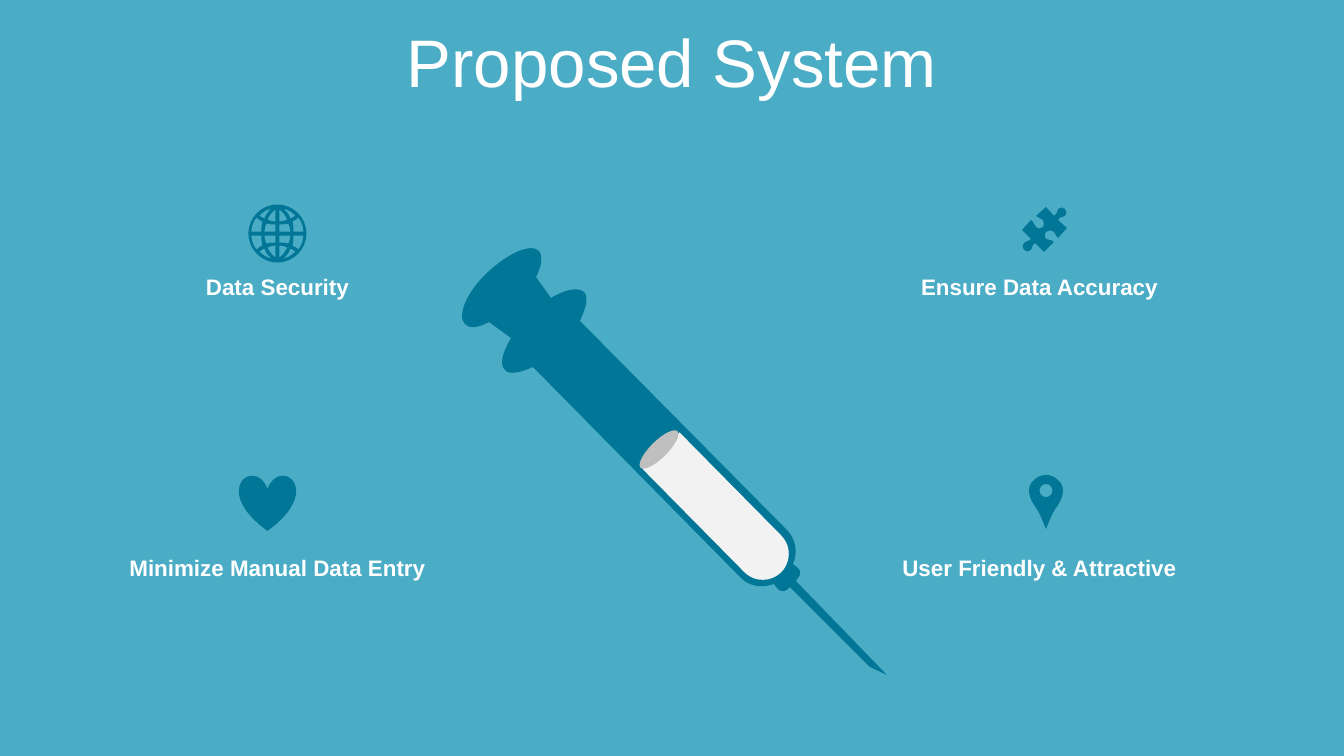
from math import cos, radians, sin

from pptx import Presentation
from pptx.dml.color import RGBColor
from pptx.enum.shapes import MSO_SHAPE
from pptx.enum.text import MSO_ANCHOR, PP_ALIGN
from pptx.oxml.ns import qn
from pptx.util import Pt

PX = 914400 / 134.4
FONT = "Arial"
SKY = RGBColor(0x4B, 0xAC, 0xC6)
TEAL = RGBColor(0x02, 0x76, 0x96)
WHITE = RGBColor(0xFF, 0xFF, 0xFF)
PALE = RGBColor(0xF2, 0xF2, 0xF2)
GREY = RGBColor(0xBF, 0xBF, 0xBF)
CENTER, MIDDLE = PP_ALIGN.CENTER, MSO_ANCHOR.MIDDLE
HEART, OVAL = MSO_SHAPE.HEART, MSO_SHAPE.OVAL
ROUND_TOP = MSO_SHAPE.ROUND_2_SAME_RECTANGLE
TITLE_ONLY = 5


def emu(px):
    return round(px * PX)


def write(shape, text, size=12, bold=False, color=WHITE, anchor=None):
    tf = shape.text_frame
    tf.word_wrap = True
    if anchor is not None:
        tf.vertical_anchor = anchor
    p = tf.paragraphs[0]
    p.alignment = CENTER
    r = p.add_run()
    r.text = text
    r.font.name, r.font.size, r.font.bold = FONT, Pt(size), bold
    r.font.color.rgb = color


def rotate(x, y, degrees):
    a = radians(degrees)
    return x * cos(a) - y * sin(a), x * sin(a) + y * cos(a)


def pairs(part):
    return list(zip(part[::2], part[1::2]))


def place(contour, cx, cy, sx=1, sy=1):
    """Move a contour from its own centre to (cx, cy), mirrored by sx and sy."""
    return [tuple(v for x, y in pairs(part) for v in (cx + sx * x, cy + sy * y))
            for part in contour]


def circle(r):
    k = 0.55 * r
    return [(r, 0), (r, k, k, r, 0, r), (-k, r, -r, k, -r, 0),
            (-r, -k, -k, -r, 0, -r), (k, -r, r, -k, r, 0)]


def bend(shape, contours):
    """Join the three segments of each six-number part into one cubic curve."""
    lines = iter(list(shape.element.iter(qn("a:lnTo"))))
    for contour in contours:
        for part in contour[1:]:
            line = next(lines)
            if len(part) == 6:
                line.tag = qn("a:cubicBezTo")
                for extra in (next(lines), next(lines)):
                    line.append(extra[0])
                    extra.getparent().remove(extra)


class Deck:
    def __init__(self, prs):
        self.slide = prs.slides.add_slide(prs.slide_layouts[TITLE_ONLY])
        fill = self.slide.background.fill
        fill.solid()
        fill.fore_color.rgb = SKY

    def paint(self, s, color):
        s.shadow.inherit = False
        s.fill.solid()
        s.fill.fore_color.rgb = color
        s.line.fill.background()

    def title(self, text, x, y, w, h):
        s = self.slide.shapes.title
        s.left, s.top, s.width, s.height = map(emu, (x, y, w, h))
        write(s, text, size=36, anchor=MIDDLE)

    def label(self, text, x, y, w, h):
        s = self.slide.shapes.add_textbox(*map(emu, (x, y, w, h)))
        write(s, text, bold=True)

    def shape(self, kind, x, y, w, h, color, rotation=0):
        s = self.slide.shapes.add_shape(kind, *map(emu, (x, y, w, h)))
        s.rotation = rotation
        self.paint(s, color)
        return s

    def outline(self, contours, color, rotation=0):
        """Draw contours, given as they appear, in a frame that is rotated."""
        turned = [[tuple(map(emu, rotate(x, y, -rotation)))
                   for part in contour for x, y in pairs(part)]
                  for contour in contours]
        builder = self.slide.shapes.build_freeform(*turned[0][0], scale=1.0)
        for i, points in enumerate(turned):
            if i:
                builder.move_to(*points[0])
            builder.add_line_segments(points[1:], close=True)
        s = builder.convert_to_shape()
        bend(s, contours)
        cx, cy = rotate(s.left + s.width / 2, s.top + s.height / 2, rotation)
        s.left, s.top = round(cx - s.width / 2), round(cy - s.height / 2)
        s.rotation = rotation
        self.paint(s, color)


SYRINGE = [
    (487, 273), (466, 293, 457, 316, 465, 324), (469, 329, 478, 328, 489, 322),
    (511, 338), (503, 352, 499, 364, 505, 370), (509, 375, 520, 373, 533, 367),
    (741, 578), (750, 587, 763, 588, 774, 584), (777, 588),
    (780, 592, 785, 592, 788, 589), (790, 587), (870, 667), (887, 675),
    (796, 581), (798, 578), (801, 575, 801, 571, 798, 568), (793, 564),
    (798, 553, 796, 540, 788, 531), (580, 321), (586, 308, 589, 297, 584, 292),
    (578, 287, 566, 289, 551, 298), (536, 277), (542, 266, 543, 256, 539, 251),
    (531, 243, 508, 253, 487, 273)]

PUZZLE = [
    (1065, 209), (1067, 211, 1067, 214, 1065, 216),
    (1063, 218, 1060, 216, 1058, 220), (1067, 228), (1058, 238),
    (1055, 235, 1056, 234, 1054, 232), (1051, 230, 1048, 230, 1046, 232),
    (1045, 233, 1044, 237, 1046, 239), (1049, 241, 1051, 239, 1054, 242),
    (1044, 252), (1035, 243), (1031, 246, 1033, 247, 1031, 250),
    (1029, 252, 1026, 252, 1024, 250), (1022, 248, 1022, 245, 1024, 243),
    (1025, 241, 1028, 242, 1031, 239), (1022, 230), (1031, 220),
    (1035, 223, 1034, 226, 1036, 227), (1037, 229, 1040, 229, 1043, 227),
    (1044, 226, 1044, 222, 1043, 220), (1039, 218, 1039, 218, 1036, 216),
    (1046, 207), (1054, 216), (1058, 212, 1057, 212, 1058, 209),
    (1060, 207, 1063, 207, 1065, 209)]

PIN = [
    (1046, 475), (1051, 475, 1055, 477, 1058, 480),
    (1066, 487, 1063, 497, 1058, 505), (1052, 513, 1051, 517, 1046, 529),
    (1041, 517, 1040, 513, 1034, 505), (1029, 497, 1026, 487, 1034, 480),
    (1037, 477, 1041, 475, 1046, 475)]

# Openings in one quarter of the globe, measured from its centre
GLOBE_CELLS = [
    [(2, 2), (13, 2), (13, 5, 12, 8, 11, 10), (8, 9, 5, 9, 2, 9)],
    [(2, 12), (5, 12, 8, 13, 10, 14), (8, 18, 5, 22, 2, 24)],
    [(16, 2), (26, 2), (26, 7, 24, 12, 21, 16), (19, 14, 17, 13, 15, 12),
     (16, 9, 16, 5, 16, 2)],
    [(13, 15), (15, 16, 17, 17, 18, 18), (15, 21, 11, 24, 6, 25),
     (9, 22, 12, 19, 13, 15)]]


def globe(cx, cy):
    cells = [place(cell, cx, cy, sx, sy)
             for sx in (-1, 1) for sy in (-1, 1) for cell in GLOBE_CELLS]
    return [place(circle(29), cx, cy)] + cells


def main():
    prs = Presentation()
    prs.slide_width, prs.slide_height = emu(1344), emu(756)
    deck = Deck(prs)
    deck.title("Proposed System", 0, 18, 1344, 85)

    # Syringe
    deck.outline([SYRINGE], TEAL, rotation=315.4)
    barrel = deck.shape(ROUND_TOP, 695, 426, 52, 171, PALE, rotation=135.4)
    barrel.adjustments[0] = 0.5
    deck.shape(OVAL, 633, 441, 52, 17, GREY, rotation=315.4)

    # Labels
    columns = [(100, ("Data Security", "Minimize Manual Data Entry")),
               (862, ("Ensure Data Accuracy", "User Friendly & Attractive"))]
    for x, texts in columns:
        for y, text in zip((267, 548), texts):
            deck.label(text, x, y, 355, 40)

    # Icons
    deck.outline(globe(277.5, 233.5), TEAL, rotation=270)
    deck.outline([PUZZLE], TEAL, rotation=45)
    deck.outline([place(circle(6.5), 1046, 490.5), PIN], TEAL, rotation=135)
    deck.shape(HEART, 239, 475, 57, 56, TEAL)

    prs.save("out.pptx")


if __name__ == "__main__":
    main()
